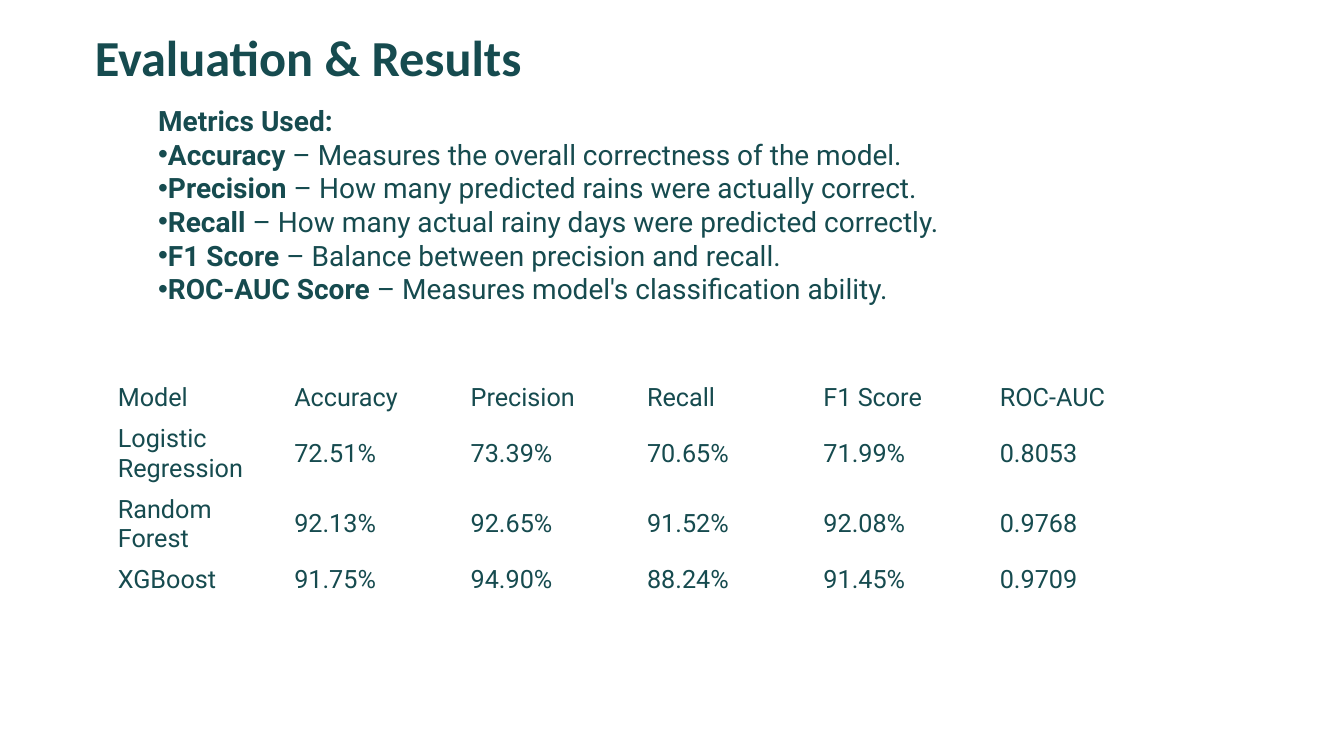
"""Build the Evaluation & Results slide with its metric list and model table."""
from dataclasses import dataclass

from lxml import etree
from pptx import Presentation
from pptx.dml.color import RGBColor
from pptx.enum.text import MSO_ANCHOR, MSO_AUTO_SIZE, PP_ALIGN
from pptx.oxml.ns import qn
from pptx.util import Pt

TOP, MIDDLE = MSO_ANCHOR.TOP, MSO_ANCHOR.MIDDLE
GROW = MSO_AUTO_SIZE.SHAPE_TO_FIT_TEXT
LEFT = PP_ALIGN.LEFT
TEAL = "164B4F"


@dataclass
class Metric:
    name: str
    meaning: str


@dataclass
class ResultRow:
    cells: tuple[str, ...]
    height: float


METRICS = [
    Metric("Accuracy", "Measures the overall correctness of the model."),
    Metric("Precision", "How many predicted rains were actually correct."),
    Metric("Recall", "How many actual rainy days were predicted correctly."),
    Metric("F1 Score", "Balance between precision and recall."),
    Metric("ROC-AUC Score", "Measures model's classification ability."),
]
RESULTS = [
    ResultRow(("Model", "Accuracy", "Precision", "Recall", "F1 Score", "ROC-AUC"), 28.8),
    ResultRow(("Logistic Regression", "72.51%", "73.39%", "70.65%", "71.99%", "0.8053"), 50.4),
    ResultRow(("Random Forest", "92.13%", "92.65%", "91.52%", "92.08%", "0.9768"), 50.4),
    ResultRow(("XGBoost", "91.75%", "94.90%", "88.24%", "91.45%", "0.9709"), 28.8),
]
COLUMN_WIDTH = 126


def color(font, value: str) -> None:
    font.color.rgb = RGBColor.from_string(value)


def add_run(p, text: str, size: float, bold: bool = False, name: str = "Roboto") -> None:
    r = p.add_run()
    r.text = text
    r.font.size, r.font.bold, r.font.name = Pt(size), bold, name
    color(r.font, TEAL)


def place(sp, left: float, top: float, width: float, height: float, anchor):
    sp.left, sp.top, sp.width, sp.height = Pt(left), Pt(top), Pt(width), Pt(height)
    tf = sp.text_frame
    tf.word_wrap, tf.auto_size, tf.vertical_anchor = True, GROW, anchor
    return tf


def format_line(p, bullet: str = "") -> None:
    p.alignment, p.space_before, p.line_spacing = LEFT, Pt(0), 1.0
    pPr = p._p.get_or_add_pPr()
    pPr.set("marL", "0")
    pPr.set("indent", "0")
    if bullet:
        etree.SubElement(pPr, qn("a:buFont"), typeface="Arial")
        etree.SubElement(pPr, qn("a:buChar"), char=bullet)
    else:
        etree.SubElement(pPr, qn("a:buNone"))


def add_title(s) -> None:
    tf = place(s.shapes.title, 60.5, 15.1, 480, 51.1, TOP)
    p = tf.paragraphs[0]
    format_line(p)
    add_run(p, "Evaluation & Results", 36, True, "Calibri")


def add_metrics(s, metrics: list[Metric]) -> None:
    tf = place(s.placeholders[1], 105.8, 69.8, 652.3, 152.6, MIDDLE)
    p = tf.paragraphs[0]
    format_line(p)
    add_run(p, "Metrics Used:", 20, True)
    for metric in metrics:
        p = tf.add_paragraph()
        format_line(p, "•")
        add_run(p, metric.name, 20, True)
        add_run(p, f" – {metric.meaning}", 20)


def add_results(s, rows: list[ResultRow]) -> None:
    columns = len(rows[0].cells)
    frame = s.shapes.add_table(len(rows), columns, Pt(77), Pt(270),
                               Pt(columns * COLUMN_WIDTH), Pt(sum(row.height for row in rows)))
    table = frame.table
    table.first_row = table.horz_banding = False
    for column in table.columns:
        column.width = Pt(COLUMN_WIDTH)
    for i, row in enumerate(rows):
        table.rows[i].height = Pt(row.height)
        for j, text in enumerate(row.cells):
            cell = table.cell(i, j)
            cell.fill.background()
            cell.vertical_anchor = MIDDLE
            add_run(cell.text_frame.paragraphs[0], text, 18)


def main() -> None:
    prs = Presentation()
    prs.slide_width, prs.slide_height = Pt(960), Pt(540)
    s = prs.slides.add_slide(prs.slide_layouts[1])
    add_metrics(s, METRICS)
    add_title(s)
    add_results(s, RESULTS)
    prs.save("out.pptx")


if __name__ == "__main__":
    main()
